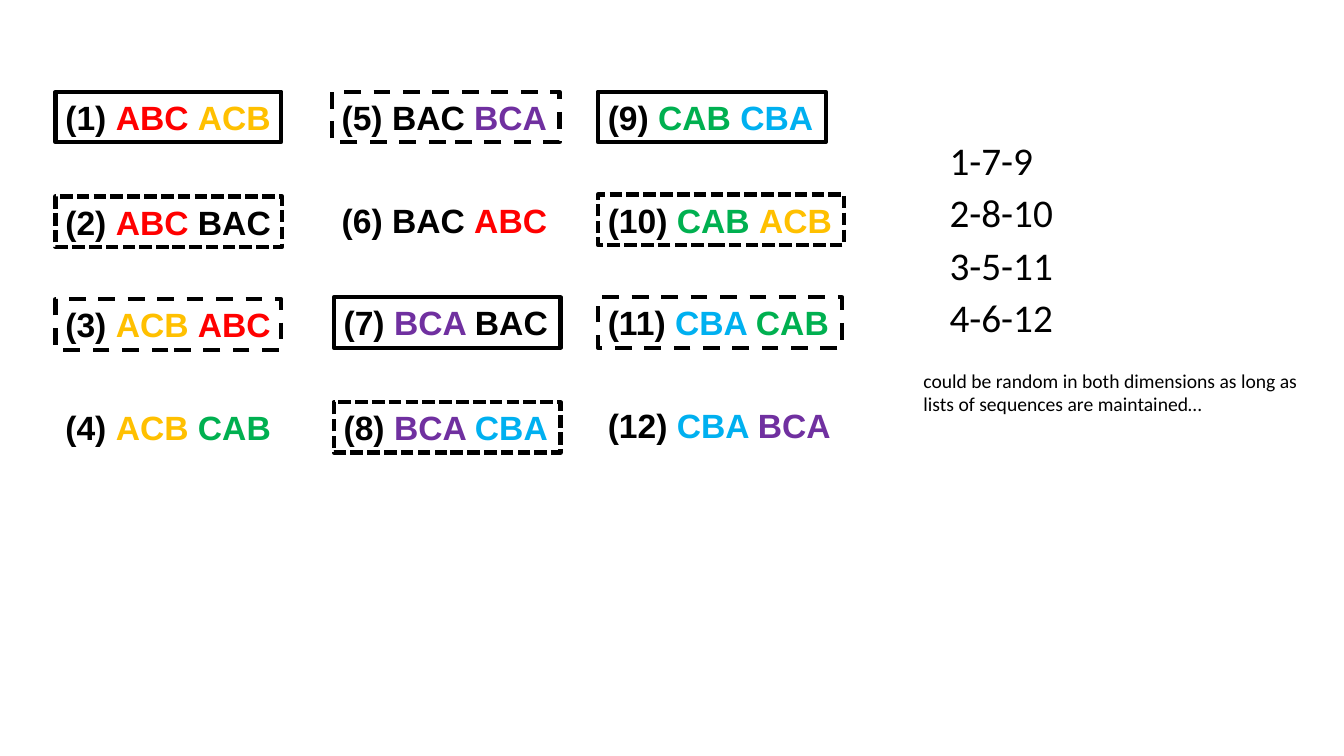
from dataclasses import dataclass

from pptx import Presentation
from pptx.dml.color import RGBColor
from pptx.enum.dml import MSO_LINE_DASH_STYLE as Dash
from pptx.enum.text import MSO_AUTO_SIZE as AutoSize
from pptx.util import Inches, Pt


@dataclass(frozen=True)
class Theme:
    ink: str = "000000"
    sequence_font: str = "Arial"
    text_font: str = "Calibri"
    sequence_size: int = 24
    group_size: int = 28
    note_size: int = 14
    border_width: int = 3

    def sequence_color(self, sequence):
        return {
            "ABC": "FF0000",
            "ACB": "FFC000",
            "BAC": self.ink,
            "BCA": "7030A0",
            "CAB": "00B050",
            "CBA": "00B0F0",
        }[sequence]


SOLID, DOTTED, DASHED = Dash.SOLID, Dash.SQUARE_DOT, Dash.DASH
BOX_HEIGHT = 0.5
GROUP_LEFT, GROUP_TOP, GROUP_STEP = 9.32, 1.3, 0.52

PAIRS = [
    (0.55, 0.91, 2.24, SOLID, "ABC", "ACB"),
    (0.55, 1.95, 2.25, DOTTED, "ABC", "BAC"),
    (0.55, 2.97, 2.24, DASHED, "ACB", "ABC"),
    (0.55, 3.99, 2.25, None, "ACB", "CAB"),
    (3.29, 0.91, 2.26, DASHED, "BAC", "BCA"),
    (3.29, 1.93, 2.25, None, "BAC", "ABC"),
    (3.31, 2.95, 2.25, SOLID, "BCA", "BAC"),
    (3.31, 3.99, 2.25, DOTTED, "BCA", "CBA"),
    (5.93, 0.91, 2.26, SOLID, "CAB", "CBA"),
    (5.93, 1.93, 2.44, DOTTED, "CAB", "ACB"),
    (5.93, 2.95, 2.42, DASHED, "CBA", "CAB"),
    (5.93, 3.97, 2.44, None, "CBA", "BCA"),
]
GROUPS = [("1-7-9", 1.04), ("2-8-10", 1.24), ("3-5-11", 1.24), ("4-6-12", 1.24)]
NOTE = [
    "could be random in both dimensions as long as",
    "lists of sequences are maintained…",
]


class SlideBuilder:
    def __init__(self, page, theme):
        self.page = page
        self.theme = theme

    def text_box(self, left, top, width, height, lines, font, size, bold=False):
        box = self.page.shapes.add_textbox(
            Inches(left), Inches(top), Inches(width), Inches(height)
        )
        frame = box.text_frame
        frame.word_wrap = False
        frame.auto_size = AutoSize.SHAPE_TO_FIT_TEXT
        for index, line in enumerate(lines):
            para = frame.add_paragraph() if index else frame.paragraphs[0]
            for text, color in line:
                span = para.add_run()
                span.text = text
                span.font.name = font
                span.font.size = Pt(size)
                span.font.bold = bold
                span.font.color.rgb = RGBColor.from_string(color)
        return box

    def sequence_pair(self, number, left, top, width, dash, first, second):
        theme = self.theme
        line = [
            (f"({number}) ", theme.ink),
            (f"{first} ", theme.sequence_color(first)),
            (second, theme.sequence_color(second)),
        ]
        box = self.text_box(
            left, top, width, BOX_HEIGHT, [line],
            theme.sequence_font, theme.sequence_size, bold=True,
        )
        if dash is not None:
            box.line.color.rgb = RGBColor.from_string(theme.ink)
            box.line.width = Pt(theme.border_width)
            box.line.dash_style = dash

    def plain_text(self, left, top, width, lines, size):
        self.text_box(
            left, top, width, 0.57, [[(text, self.theme.ink)] for text in lines],
            self.theme.text_font, size,
        )


def main():
    deck = Presentation()
    deck.slide_width, deck.slide_height = Inches(13.33), Inches(7.5)
    theme = Theme()
    builder = SlideBuilder(deck.slides.add_slide(deck.slide_layouts[6]), theme)
    for number, pair in enumerate(PAIRS, start=1):
        builder.sequence_pair(number, *pair)
    for row, (group, width) in enumerate(GROUPS):
        top = GROUP_TOP + row * GROUP_STEP
        builder.plain_text(GROUP_LEFT, top, width, [group], theme.group_size)
    builder.plain_text(9.06, 3.61, 3.99, NOTE, theme.note_size)
    deck.save("out.pptx")


if __name__ == "__main__":
    main()
